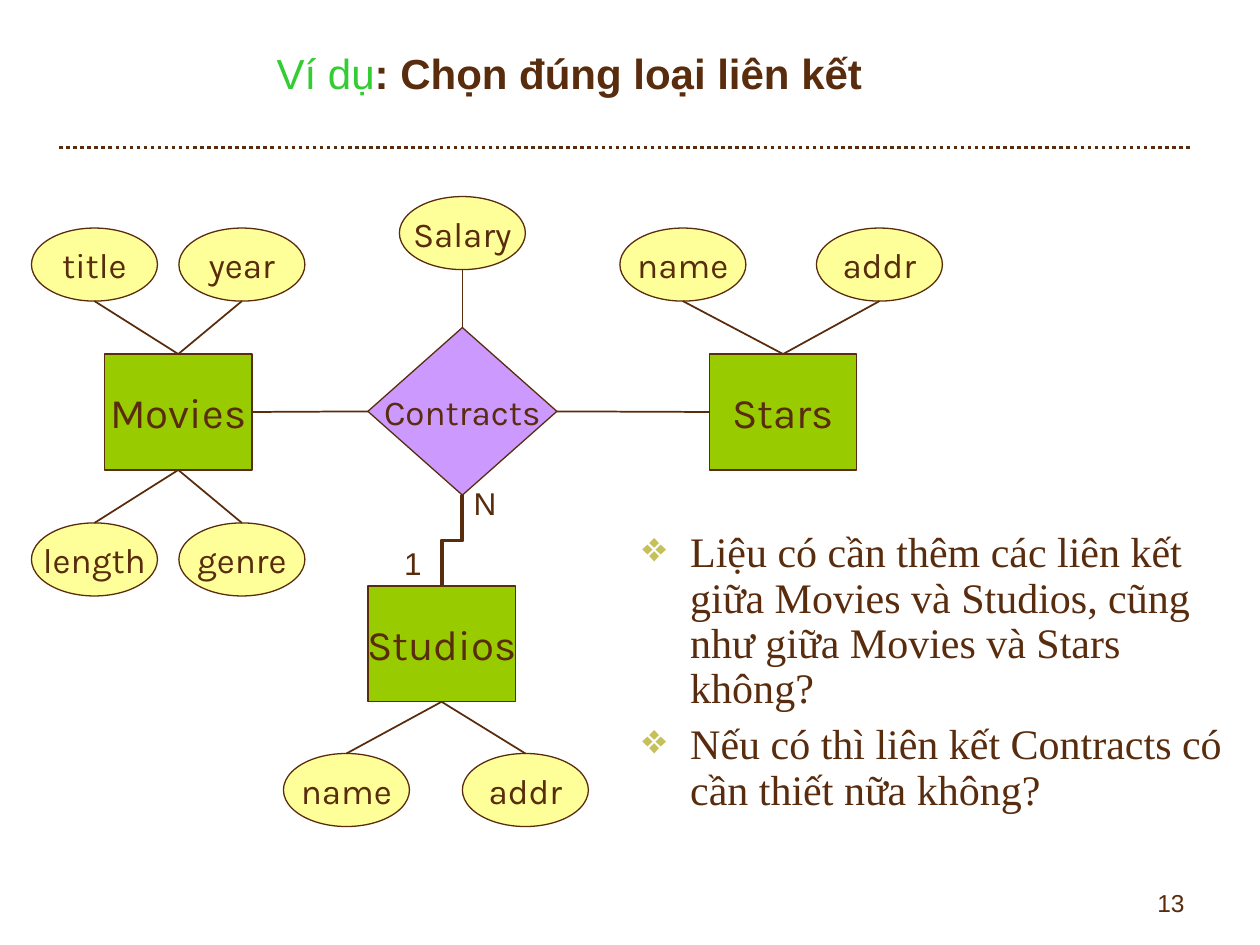
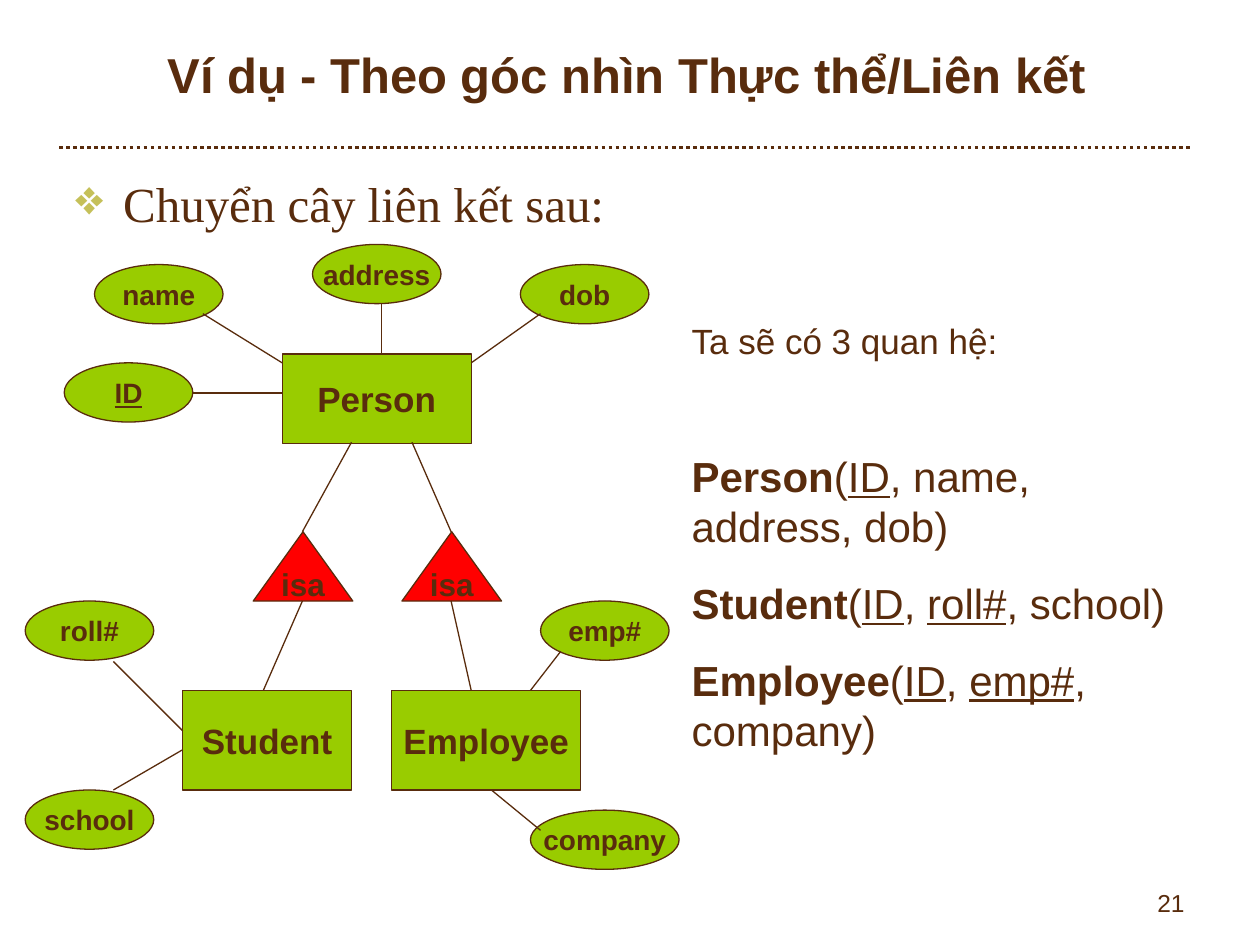
from dataclasses import dataclass

from lxml import etree
from pptx import Presentation
from pptx.dml.color import RGBColor
from pptx.enum.dml import MSO_LINE
from pptx.enum.shapes import MSO_CONNECTOR, MSO_SHAPE
from pptx.enum.text import MSO_ANCHOR, PP_ALIGN
from pptx.oxml.ns import qn
from pptx.util import Inches, Pt

RECTANGLE = MSO_SHAPE.RECTANGLE
ELLIPSE = MSO_SHAPE.OVAL
DIAMOND = MSO_SHAPE.DIAMOND
TRIANGLE = MSO_SHAPE.ISOSCELES_TRIANGLE
STRAIGHT = MSO_CONNECTOR.STRAIGHT
ELBOW = MSO_CONNECTOR.ELBOW
DOTTED = MSO_LINE.ROUND_DOT
LEFT, CENTER, RIGHT = PP_ALIGN.LEFT, PP_ALIGN.CENTER, PP_ALIGN.RIGHT
TOP, MIDDLE = MSO_ANCHOR.TOP, MSO_ANCHOR.MIDDLE


@dataclass(frozen=True)
class Theme:
    ink: str = "592C0D"
    accent: str = "33CC33"
    bullet: str = "C5C059"
    green: str = "99CC00"
    yellow: str = "FFFF99"
    purple: str = "CC99FF"
    red: str = "FF0000"
    sans: str = "Arial"
    serif: str = "Times New Roman"
    diagram: str = "Karla"
    huge: int = 28
    large: int = 24
    medium: int = 20
    label: int = 18
    small: int = 16
    footer: int = 14


@dataclass(frozen=True)
class NodeKind:
    outline: int
    fill: str
    size: int
    font: str
    bold: bool = False
    inset: float = 0.1


THEME = Theme()
ENTITY = NodeKind(RECTANGLE, THEME.green, THEME.large, THEME.diagram)
ATTRIBUTE = NodeKind(ELLIPSE, THEME.yellow, THEME.medium, THEME.diagram)
RELATIONSHIP = NodeKind(DIAMOND, THEME.purple, THEME.medium, THEME.diagram)
BOLD_ENTITY = NodeKind(RECTANGLE, THEME.green, THEME.medium, THEME.sans, True)
BOLD_ATTRIBUTE = NodeKind(ELLIPSE, THEME.green, THEME.small, THEME.sans, True, 0)
ISA = NodeKind(TRIANGLE, THEME.red, THEME.label, THEME.sans, True)


def rgb(colour):
    return RGBColor.from_string(colour)


def top(shape):
    return shape.left + shape.width // 2, shape.top


def bottom(shape):
    return shape.left + shape.width // 2, shape.top + shape.height


def left(shape):
    return shape.left, shape.top + shape.height // 2


def right(shape):
    return shape.left + shape.width, shape.top + shape.height // 2


def point(x, y):
    return Inches(x), Inches(y)


class Deck:
    def __init__(self, theme):
        self.theme = theme
        self.presentation = Presentation()
        self.presentation.slide_width = Inches(10)
        self.presentation.slide_height = Inches(7.5)
        self.slide = None

    def start_slide(self, number, title_box, title_runs, title_size):
        layout = self.presentation.slide_layouts[6]
        self.slide = self.presentation.slides.add_slide(layout)
        rule = self.link(point(0.47, 1.17), point(9.45, 1.17), 2)
        rule.line.dash_style = DOTTED
        title = self.text_box(title_box, MIDDLE)
        self.paragraph(title, title_runs, title_size, align=CENTER)
        footer = self.text_box((7.17, 7, 2.33, 0.35))
        self.paragraph(footer, [(str(number), {})], self.theme.footer, align=RIGHT)

    def text_box(self, box, anchor=TOP):
        shape = self.slide.shapes.add_textbox(*map(Inches, box))
        shape.text_frame.word_wrap = True
        shape.text_frame.vertical_anchor = anchor
        return shape.text_frame

    def paragraph(self, frame, runs, size, font=None, align=LEFT, before=0):
        paragraph = frame.paragraphs[0]
        if paragraph.runs:
            paragraph = frame.add_paragraph()
        paragraph.alignment = align
        paragraph.space_before = Pt(before)
        for text, look in runs:
            run = paragraph.add_run()
            run.text = text
            run.font.name = font or self.theme.sans
            run.font.size = Pt(size)
            run.font.bold = look.get("bold", False)
            run.font.underline = look.get("underline", False)
            run.font.color.rgb = rgb(look.get("colour", self.theme.ink))
        return paragraph

    def bullets(self, box, texts, size, before, spacing=1.0):
        frame = self.text_box(box)
        for text in texts:
            paragraph = self.paragraph(
                frame, [(text, {})], size, self.theme.serif, before=before)
            paragraph.line_spacing = spacing
            properties = paragraph._p.get_or_add_pPr()
            properties.set("marL", str(Inches(0.38)))
            properties.set("indent", str(-Inches(0.38)))
            colour = etree.SubElement(properties, qn("a:buClr"))
            etree.SubElement(colour, qn("a:srgbClr"), val=self.theme.bullet)
            etree.SubElement(properties, qn("a:buChar"), char="❖")

    def node(self, kind, text, box, underline=False):
        shape = self.slide.shapes.add_shape(kind.outline, *map(Inches, box))
        shape.shadow.inherit = False
        shape.fill.solid()
        shape.fill.fore_color.rgb = rgb(kind.fill)
        shape.line.color.rgb = rgb(self.theme.ink)
        shape.line.width = Pt(0.75)
        frame = shape.text_frame
        frame.word_wrap = False
        frame.vertical_anchor = MIDDLE
        frame.margin_left = frame.margin_right = Inches(kind.inset)
        look = {"bold": kind.bold, "underline": underline}
        self.paragraph(frame, [(text, look)], kind.size, kind.font, CENTER)
        return shape

    def link(self, start, end, width=1.0, route=STRAIGHT):
        connector = self.slide.shapes.add_connector(route, *start, *end)
        connector.line.color.rgb = rgb(self.theme.ink)
        connector.line.width = Pt(width)
        etree.SubElement(connector.element.spPr, qn("a:effectLst"))
        return connector

    def elbow_down(self, start, end, width):
        center_x = (start[0] + end[0]) // 2
        center_y = (start[1] + end[1]) // 2
        half_length = (end[1] - start[1]) // 2
        half_breadth = (start[0] - end[0]) // 2
        connector = self.link(
            (center_x - half_length, center_y - half_breadth),
            (center_x + half_length, center_y + half_breadth), width, ELBOW)
        connector.element.spPr.find(qn("a:xfrm")).set("rot", "5400000")


def build_contracts_slide(deck):
    theme = deck.theme
    deck.start_slide(13, (0.27, 0.33, 8.5, 0.5), [
        ("Ví dụ", {"colour": theme.accent}),
        (": Chọn đúng loại liên kết", {"bold": True}),
    ], theme.large)

    entities = {
        name: deck.node(ENTITY, name, (x, y, 1.17, 0.92))
        for name, x, y in [
            ("Movies", 0.83, 2.81), ("Studios", 2.92, 4.65), ("Stars", 5.63, 2.81)]
    }
    contracts = deck.node(RELATIONSHIP, "Contracts", (2.92, 2.6, 1.5, 1.33))

    attributes_above = [
        ("title", 0.25, 1.81, entities["Movies"]),
        ("year", 1.42, 1.81, entities["Movies"]),
        ("name", 4.92, 1.81, entities["Stars"]),
        ("addr", 6.48, 1.81, entities["Stars"]),
        ("Salary", 3.17, 1.56, contracts),
    ]
    attributes_below = [
        ("length", 0.25, 4.15, entities["Movies"]),
        ("genre", 1.42, 4.15, entities["Movies"]),
        ("name", 2.25, 5.98, entities["Studios"]),
        ("addr", 3.67, 5.98, entities["Studios"]),
    ]
    for group, attribute_side, owner_side in [
            (attributes_above, bottom, top), (attributes_below, top, bottom)]:
        for name, x, y, owner in group:
            attribute = deck.node(ATTRIBUTE, name, (x, y, 1, 0.58))
            deck.link(attribute_side(attribute), owner_side(owner))

    deck.link(right(entities["Movies"]), left(contracts))
    deck.link(right(contracts), left(entities["Stars"]))
    deck.elbow_down(bottom(contracts), top(entities["Studios"]), 2.25)
    for text, x, y in [("1", 3.11, 4.27), ("N", 3.66, 3.79)]:
        frame = deck.text_box((x, y, 0.39, 0.4))
        deck.paragraph(frame, [(text, {})], theme.label, before=11.2)

    deck.bullets((5, 4.17, 4.83, 3.08), [
        "Liệu có cần thêm các liên kết giữa Movies và Studios, "
        "cũng như giữa Movies và Stars không?",
        "Nếu có thì liên kết Contracts có cần thiết nữa không?",
    ], theme.large, 6, 0.9)


def build_isa_slide(deck):
    theme = deck.theme
    deck.start_slide(21, (0.5, 0.17, 8.95, 0.84), [
        ("Ví dụ - Theo góc nhìn Thực thể/Liên kết", {"bold": True}),
    ], theme.huge)
    deck.bullets((0.5, 1.33, 9, 5.59), ["Chuyển cây liên kết sau:"], theme.huge, 7)

    for name, *box in [
            ("Person", 2.24, 2.81, 1.5, 0.71),
            ("Student", 1.45, 5.48, 1.34, 0.79),
            ("Employee", 3.11, 5.48, 1.5, 0.79)]:
        deck.node(BOLD_ENTITY, name, box)
    for x in (2.01, 3.19):
        deck.node(ISA, "isa", (x, 4.22, 0.79, 0.55))
    for name, x, y, width in [
            ("name", 0.75, 2.1, 1.02), ("address", 2.48, 1.94, 1.02),
            ("dob", 4.13, 2.1, 1.02), ("ID", 0.51, 2.88, 1.02),
            ("roll#", 0.2, 4.77, 1.02), ("school", 0.2, 6.27, 1.02),
            ("emp#", 4.29, 4.77, 1.02), ("company", 4.21, 6.43, 1.18)]:
        deck.node(BOLD_ATTRIBUTE, name, (x, y, width, 0.47), name == "ID")

    for x1, y1, x2, y2 in [
            (3.03, 2.41, 3.03, 2.81), (1.61, 2.49, 2.24, 2.88),
            (4.29, 2.49, 3.74, 2.88), (1.53, 3.12, 2.24, 3.12),
            (2.79, 3.51, 2.4, 4.22), (3.27, 3.51, 3.58, 4.22),
            (2.4, 4.77, 2.09, 5.48), (3.58, 4.77, 3.74, 5.48),
            (0.9, 5.25, 1.45, 5.8), (1.45, 5.95, 0.9, 6.27),
            (4.45, 5.17, 4.21, 5.48), (3.9, 6.27, 4.29, 6.59)]:
        deck.link(point(x1, y1), point(x2, y2), 0.75)

    frame = deck.text_box((5.39, 2.49, 4.02, 3.57))
    deck.paragraph(frame, [("Ta sẽ có 3 quan hệ:", {})], theme.medium, before=12.5)
    for relation, keys, columns, before in [
            ("Person", ["ID"], "name, address, dob", 50.5),
            ("Student", ["ID", "roll#"], "school", 15),
            ("Employee", ["ID", "emp#"], "company", 15)]:
        runs = [(relation, {"bold": True}), ("(", {})]
        for key in keys[:-1]:
            runs += [(key, {"underline": True}), (", ", {})]
        runs += [(keys[-1], {"underline": True}), (f", {columns})", {})]
        deck.paragraph(frame, runs, theme.large, before=before)


def main():
    deck = Deck(THEME)
    build_contracts_slide(deck)
    build_isa_slide(deck)
    deck.presentation.save("out.pptx")


if __name__ == "__main__":
    main()
